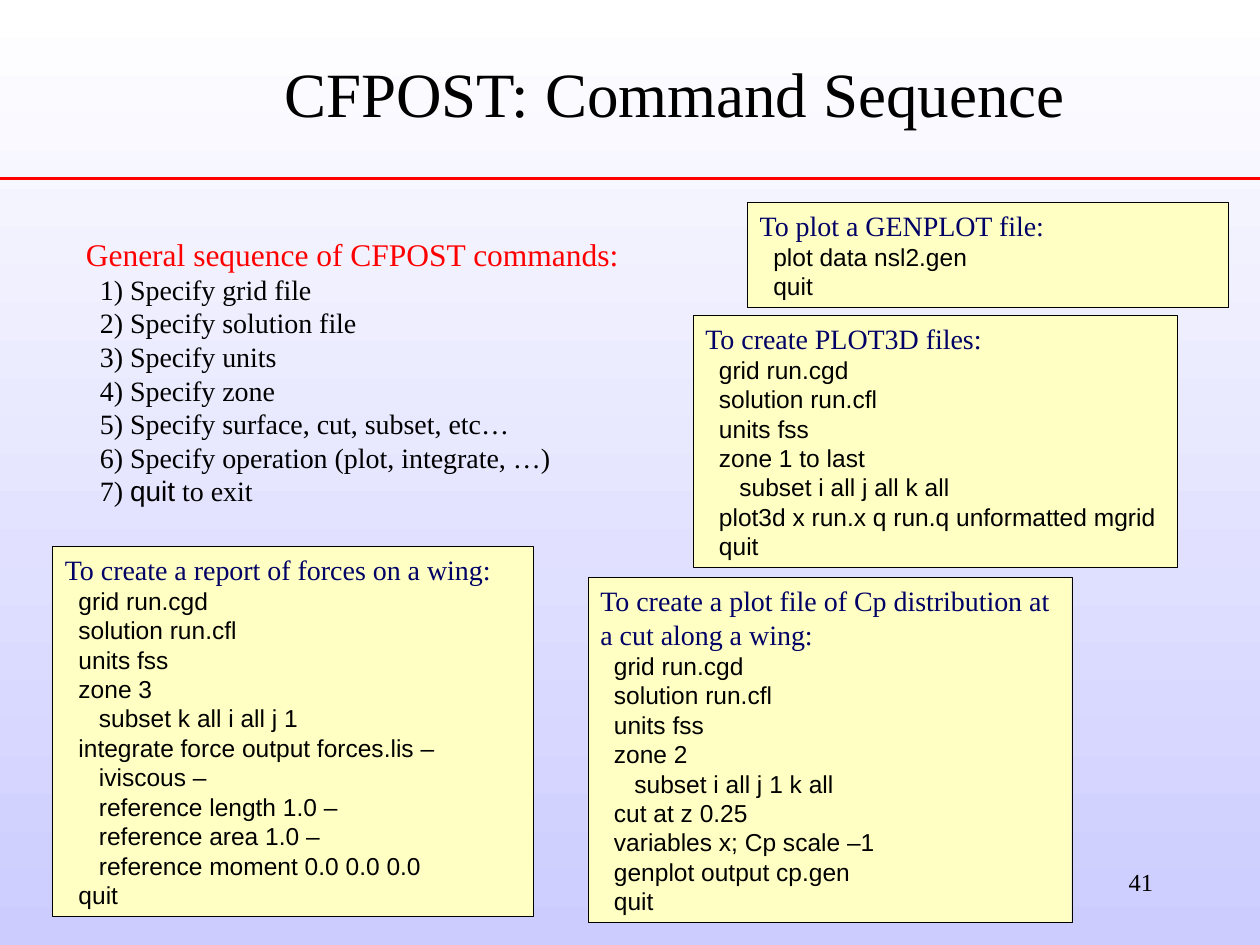
"""Build the slide on CFPOST command sequences with its example scripts."""
from pptx import Presentation
from pptx.dml.color import RGBColor
from pptx.enum.shapes import MSO_CONNECTOR as CONNECTOR, MSO_SHAPE as SHAPE
from pptx.enum.text import MSO_ANCHOR as ANCHOR, MSO_AUTO_SIZE as AUTO_SIZE, PP_ALIGN as ALIGN
from pptx.oxml.ns import qn
from pptx.util import Pt
from lxml.etree import SubElement

BLACK = RGBColor(0x00, 0x00, 0x00)
RED = RGBColor(0xFF, 0x00, 0x00)
NAVY = RGBColor(0x00, 0x00, 0x66)
CREAM = RGBColor(0xFF, 0xFF, 0xC3)
WHITE = RGBColor(0xFF, 0xFF, 0xFF)
LAVENDER = RGBColor(0xCC, 0xCC, 0xFF)
SERIF = "Times New Roman"
SANS = "Arial"


def style(paragraph, size, color, font=SERIF, align=ALIGN.LEFT):
    paragraph.alignment = align
    paragraph.font.size = Pt(size)
    paragraph.font.color.rgb = color
    paragraph.font.name = font


def add_text(left, top, width, height):
    frame = slide.shapes.add_textbox(Pt(left), Pt(top), Pt(width), Pt(height)).text_frame
    frame.word_wrap = True
    return frame


prs = Presentation()
prs.slide_width, prs.slide_height = Pt(720), Pt(540)
slide = prs.slides.add_slide(prs.slide_layouts[6])

backdrop = slide.background.fill
backdrop.gradient()
backdrop.gradient_angle = 270
for stop, color, position in zip(backdrop.gradient_stops, (WHITE, LAVENDER), (0, 1)):
    stop.color.rgb = color
    stop.position = position

rule = slide.shapes.add_connector(CONNECTOR.STRAIGHT, 0, Pt(102), Pt(720), Pt(102))
rule.line.color.rgb = RED
rule.line.width = Pt(1.5)
SubElement(rule._element.spPr, qn("a:effectLst"))

title = add_text(84, 30, 624, 48)
title.vertical_anchor = ANCHOR.BOTTOM
title.margin_right = Pt(28.2)
title.text = "CFPOST: Command Sequence"
style(title.paragraphs[0], 36, BLACK, align=ALIGN.CENTER)

steps = [
    "Specify grid file",
    "Specify solution file",
    "Specify units",
    "Specify zone",
    "Specify surface, cut, subset, etc…",
    "Specify operation (plot, integrate, …)",
]
sequence = add_text(42, 130.5, 355, 163.5)
sequence.auto_size = AUTO_SIZE.SHAPE_TO_FIT_TEXT
sequence.text = "General sequence of CFPOST commands:"
style(sequence.paragraphs[0], 18, RED)
for number, step in enumerate(steps + [""], start=1):
    line = sequence.add_paragraph()
    line._p.get_or_add_pPr().set("marL", str(Pt(8)))
    style(line, 16, BLACK)
    line.add_run().text = f"{number}) {step}"
command = line.add_run()
command.text = "quit"
command.font.name = SANS
line.add_run().text = " to exit"

examples = [
    (396, 180, 276.5, 144, "To create PLOT3D files:", """\
  grid run.cgd
  solution run.cfl
  units fss
  zone 1 to last
     subset i all j all k all
  plot3d x run.x q run.q unformatted mgrid
  quit"""),
    (427, 115.5, 275, 60, "To plot a GENPLOT file:", """\
  plot data nsl2.gen
  quit"""),
    (30, 312, 275, 211.5, "To create a report of forces on a wing:", """\
  grid run.cgd
  solution run.cfl
  units fss
  zone 3
     subset k all i all j 1
  integrate force output forces.lis –
     iviscous –
     reference length 1.0 –
     reference area 1.0 –
     reference moment 0.0 0.0 0.0
  quit"""),
    (336, 330, 276.5, 197, "To create a plot file of Cp distribution at a cut along a wing:", """\
  grid run.cgd
  solution run.cfl
  units fss
  zone 2
     subset i all j 1 k all
  cut at z 0.25
  variables x; Cp scale –1
  genplot output cp.gen
  quit"""),
]
for left, top, width, height, purpose, commands in examples:
    example = slide.shapes.add_shape(SHAPE.RECTANGLE, Pt(left), Pt(top), Pt(width), Pt(height))
    example.shadow.inherit = False
    example.fill.solid()
    example.fill.fore_color.rgb = CREAM
    example.line.color.rgb = BLACK
    example.line.width = Pt(0.25)
    script = example.text_frame
    script.word_wrap = True
    script.auto_size = AUTO_SIZE.SHAPE_TO_FIT_TEXT
    script.vertical_anchor = ANCHOR.TOP
    script.text = purpose
    style(script.paragraphs[0], 16, NAVY)
    for command in commands.split("\n"):
        line = script.add_paragraph()
        line.text = command
        style(line, 14, BLACK, SANS)

page_number = add_text(516, 492, 150, 36)
page_number.text = "41"
style(page_number.paragraphs[0], 14, BLACK, align=ALIGN.RIGHT)

prs.save("out.pptx")
